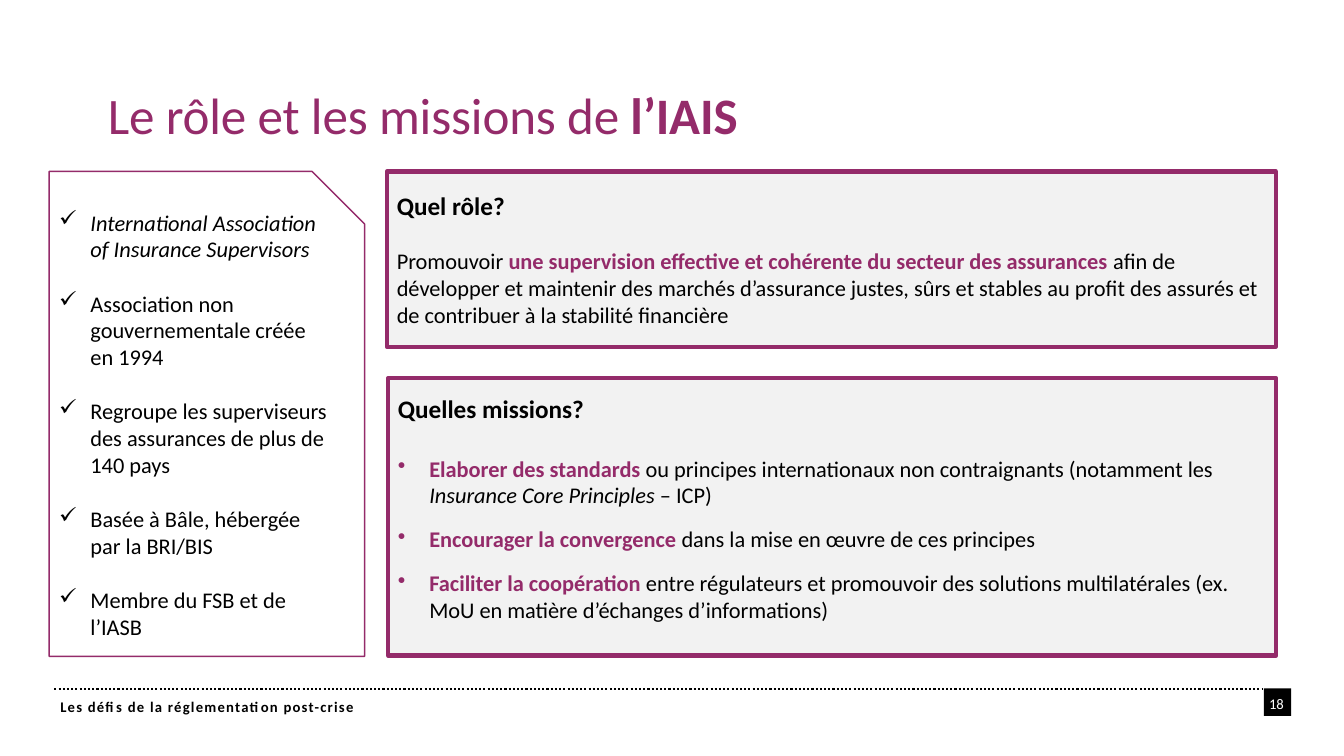
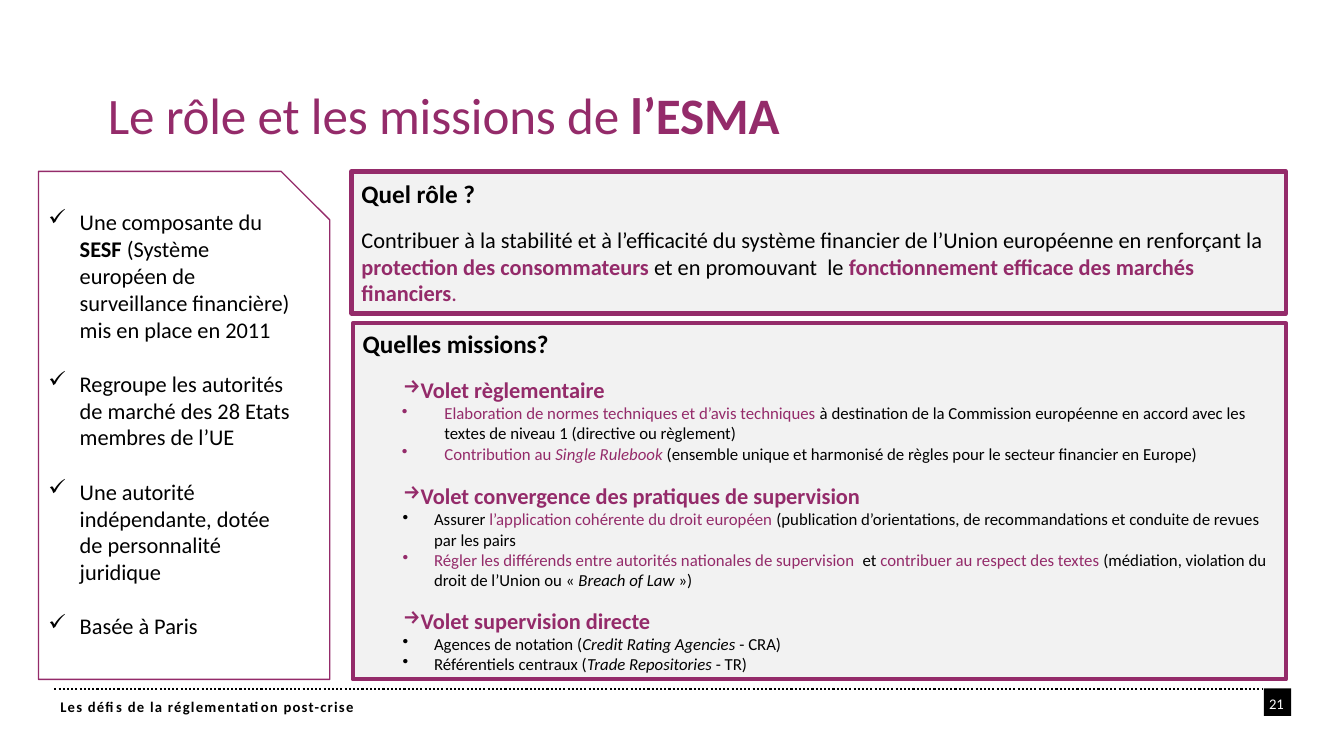
from lxml import etree
from pptx import Presentation
from pptx.dml.color import RGBColor
from pptx.enum.dml import MSO_LINE
from pptx.enum.shapes import MSO_CONNECTOR, MSO_SHAPE as SHAPE
from pptx.enum.text import MSO_ANCHOR as ANCHOR, PP_ALIGN as ALIGN
from pptx.oxml.ns import qn
from pptx.util import Cm, Pt

PURPLE, BLACK, WHITE, GREY = "942B6A", "000000", "FFFFFF", "F2F2F2"
FONT = "Calibri"
FOOTER = "Les défis de la réglementation post-crise"

# Paragraph formats: sizes and gaps in points, indents in centimetres
HEADING = dict(size=18)
BODY = dict(size=16)
CHECK = dict(size=16, bullet="✓", margin=0.79, indent=-0.79)
DOT = dict(size=16, bullet="•", margin=0.79, indent=-0.79)
ARROW = dict(size=16, bullet="→", margin=0, indent=1.02)
WIDE_DOT = dict(size=12, bullet="•", margin=2.06, indent=-1.07)
SMALL_DOT = dict(size=12, bullet="•", margin=1.8, indent=-0.79)
LINE_GAP = 19.5
SHORT_GAP = 12.2


def color(hex_string):
    return RGBColor.from_string(hex_string)


def add_text(frame, runs, size=16, ink=BLACK, align=ALIGN.LEFT, before=0,
             line_spacing=None, letter_spacing=None, bullet=None, margin=0, indent=0):
    """Add a paragraph; run marks are b (bold), i (italic) and p (purple)."""
    paragraph = frame.paragraphs[-1]
    if paragraph.runs:
        paragraph = frame.add_paragraph()
    paragraph.alignment = align
    paragraph.space_before = Pt(before)
    if line_spacing:
        paragraph.line_spacing = line_spacing
    for text, marks in runs:
        run = paragraph.add_run()
        run.text = text
        font = run.font
        font.name, font.size = FONT, Pt(size)
        font.bold, font.italic = "b" in marks, "i" in marks
        font.color.rgb = color(PURPLE if "p" in marks else ink)
        if letter_spacing:
            run.font._element.set("spc", str(letter_spacing))
    if bullet:
        properties = paragraph._p.get_or_add_pPr()
        properties.set("marL", str(Cm(margin)))
        properties.set("indent", str(Cm(indent)))
        etree.SubElement(properties, qn("a:buChar")).set("char", bullet)


# Content: each panel has a box, top and bottom insets, and paragraphs
# given as (runs, format, gap before)
slides = [
    dict(
        subject="l’IAIS", number="18",
        facts=((1.24, 4.32, 7.95, 12.22), (0, 0.13), [
            ([("International Association of Insurance Supervisors", "i")], CHECK, 0),
            ([("Association non gouvernementale créée en 1994", "")], CHECK, LINE_GAP),
            ([("Regroupe les superviseurs des assurances de plus de 140 pays", "")],
             CHECK, LINE_GAP),
            ([("Basée à Bâle, hébergée par la BRI/BIS", "")], CHECK, LINE_GAP),
            ([("Membre du FSB et de l’IASB", "")], CHECK, LINE_GAP),
        ]),
        role=((9.75, 4.32, 22.4, 4.42), (0.13, 0.13), [
            ([("Quel rôle?", "b")], HEADING, 0),
            ([("Promouvoir ", ""),
              ("une supervision effective et cohérente du secteur des assurances ", "bp"),
              ("afin de développer et maintenir des marchés d’assurance justes, sûrs et "
               "stables au profit des assurés et de contribuer à la stabilité financière", "")],
             BODY, LINE_GAP),
        ]),
        missions=((9.78, 9.53, 22.38, 6.99), (0.13, 0.56), [
            ([("Quelles missions?", "b")], HEADING, 0),
            ([("Elaborer des standards ", "bp"),
              ("ou principes internationaux non contraignants (notamment les ", ""),
              ("Insurance Core Principles", "i"), (" – ICP)", "")], DOT, 22),
            ([("Encourager la convergence ", "bp"),
              ("dans la mise en œuvre de ces principes", "")], DOT, SHORT_GAP),
            ([("Faciliter la coopération ", "bp"),
              ("entre régulateurs et promouvoir des solutions multilatérales "
               "(ex. MoU en matière d’échanges d’informations)", "")], DOT, SHORT_GAP),
        ]),
    ),
    dict(
        subject="l’ESMA", number="21",
        facts=((0.97, 4.32, 7.34, 12.8), (0.13, 0.82), [
            ([("Une composante du ", ""), ("SESF", "b"),
              (" (Système européen de surveillance financière) mis en place en 2011", "")],
             CHECK, 0),
            ([("Regroupe les autorités de marché des 28 Etats membres de l’UE", "")],
             CHECK, LINE_GAP),
            ([("Une autorité indépendante, dotée de personnalité juridique", "")],
             CHECK, LINE_GAP),
            ([("Basée à Paris", "")], CHECK, LINE_GAP),
        ]),
        role=((8.86, 4.32, 23.55, 3.58), (0.13, 0.13), [
            ([("Quel rôle ?", "b")], HEADING, 0),
            ([("Contribuer à la stabilité et à l’efficacité du système financier de "
               "l’Union européenne en renforçant la ", ""),
              ("protection des consommateurs ", "bp"), ("et en promouvant  le ", ""),
              ("fonctionnement efficace des marchés financiers", "bp"), (".", "p")],
             BODY, SHORT_GAP),
        ]),
        missions=((8.89, 8.15, 23.52, 8.97), (0.13, 0.13), [
            ([("Quelles missions?", "b")], HEADING, 0),
            ([("Volet règlementaire", "bp")], ARROW, SHORT_GAP),
            ([("Elaboration de normes techniques et d’avis techniques ", "p"),
              ("à destination de la Commission européenne en accord avec les textes "
               "de niveau 1 (directive ou règlement)", "")], WIDE_DOT, 0),
            ([("Contribution au ", "p"), ("Single Rulebook ", "ip"),
              ("(ensemble unique et harmonisé de règles pour le secteur financier "
               "en Europe)", "")], WIDE_DOT, 0),
            ([("Volet convergence des pratiques de supervision", "bp")], ARROW, 13.4),
            ([("Assurer ", ""), ("l’application cohérente du droit européen ", "p"),
              ("(publication d’orientations, de recommandations et conduite de revues "
               "par les pairs", "")], SMALL_DOT, 0),
            ([("Régler les différends entre autorités nationales de supervision  ", "p"),
              ("et ", ""), ("contribuer au respect des textes ", "p"),
              ("(médiation, violation du droit de l’Union ou « ", ""),
              ("Breach of Law ", "i"), ("»)", "")], SMALL_DOT, 0),
            ([("Volet supervision directe", "bp")], ARROW, SHORT_GAP),
            ([("Agences de notation (", ""), ("Credit Rating Agencies ", "i"),
              ("- CRA)", "")], SMALL_DOT, 0),
            ([("Référentiels centraux (", ""), ("Trade Repositories ", "i"),
              ("- TR)", "")], SMALL_DOT, 0),
        ]),
    ),
]

# Panel styles: preset shape, fill, line width
panel_styles = dict(
    facts=(SHAPE.SNIP_1_RECTANGLE, WHITE, 1),
    role=(SHAPE.RECTANGLE, GREY, 3),
    missions=(SHAPE.RECTANGLE, GREY, 3),
)

presentation = Presentation()
presentation.slide_width, presentation.slide_height = Cm(33.87), Cm(19.05)

for content in slides:
    slide = presentation.slides.add_slide(presentation.slide_layouts[6])
    shapes = slide.shapes

    # Dotted footer rule and page number square
    rule = shapes.add_connector(MSO_CONNECTOR.STRAIGHT,
                                Cm(1.37), Cm(17.37), Cm(31.83), Cm(17.37))
    rule.line.color.rgb = color(BLACK)
    rule.line.width = Pt(1.5)
    rule.line.dash_style = MSO_LINE.ROUND_DOT
    etree.SubElement(rule._element.spPr, qn("a:effectLst"))
    square = shapes.add_shape(SHAPE.RECTANGLE, Cm(31.85), Cm(17.35), Cm(0.69), Cm(0.69))
    square.shadow.inherit = False
    square.fill.solid()
    square.fill.fore_color.rgb = color(BLACK)
    square.line.fill.background()

    # Title, page number and footer text
    labels = [
        ((2.57, 2.18, 28.68, 1.4), (0.15, 0.2),
         [("Le rôle et les missions de ", ""), (content["subject"], "b")],
         dict(size=36.5, ink=PURPLE, line_spacing=0.81, letter_spacing=-10)),
        ((31.52, 17.37, 1.3, 1.02), (0.25, 0.13), [(content["number"], "")],
         dict(size=10.5, ink=WHITE, align=ALIGN.CENTER)),
        ((1.27, 17.45, 23.16, 0.69), (0.25, 0.13), [(FOOTER, "b")],
         dict(size=10.5, letter_spacing=90)),
    ]
    for box, (left, top), runs, style in labels:
        frame = shapes.add_textbox(*map(Cm, box)).text_frame
        frame.word_wrap = True
        frame.margin_left, frame.margin_top = Cm(left), Cm(top)
        add_text(frame, runs, **style)

    # Panels
    for name, (preset, fill, line_width) in panel_styles.items():
        box, (top, bottom), paragraphs = content[name]
        panel = shapes.add_shape(preset, *map(Cm, box))
        panel.shadow.inherit = False
        panel.fill.solid()
        panel.fill.fore_color.rgb = color(fill)
        panel.line.color.rgb = color(PURPLE)
        panel.line.width = Pt(line_width)
        frame = panel.text_frame
        frame.word_wrap = True
        frame.vertical_anchor = ANCHOR.MIDDLE
        frame.margin_top, frame.margin_bottom = Cm(top), Cm(bottom)
        for runs, style, gap in paragraphs:
            add_text(frame, runs, before=gap, **style)

presentation.save("out.pptx")
